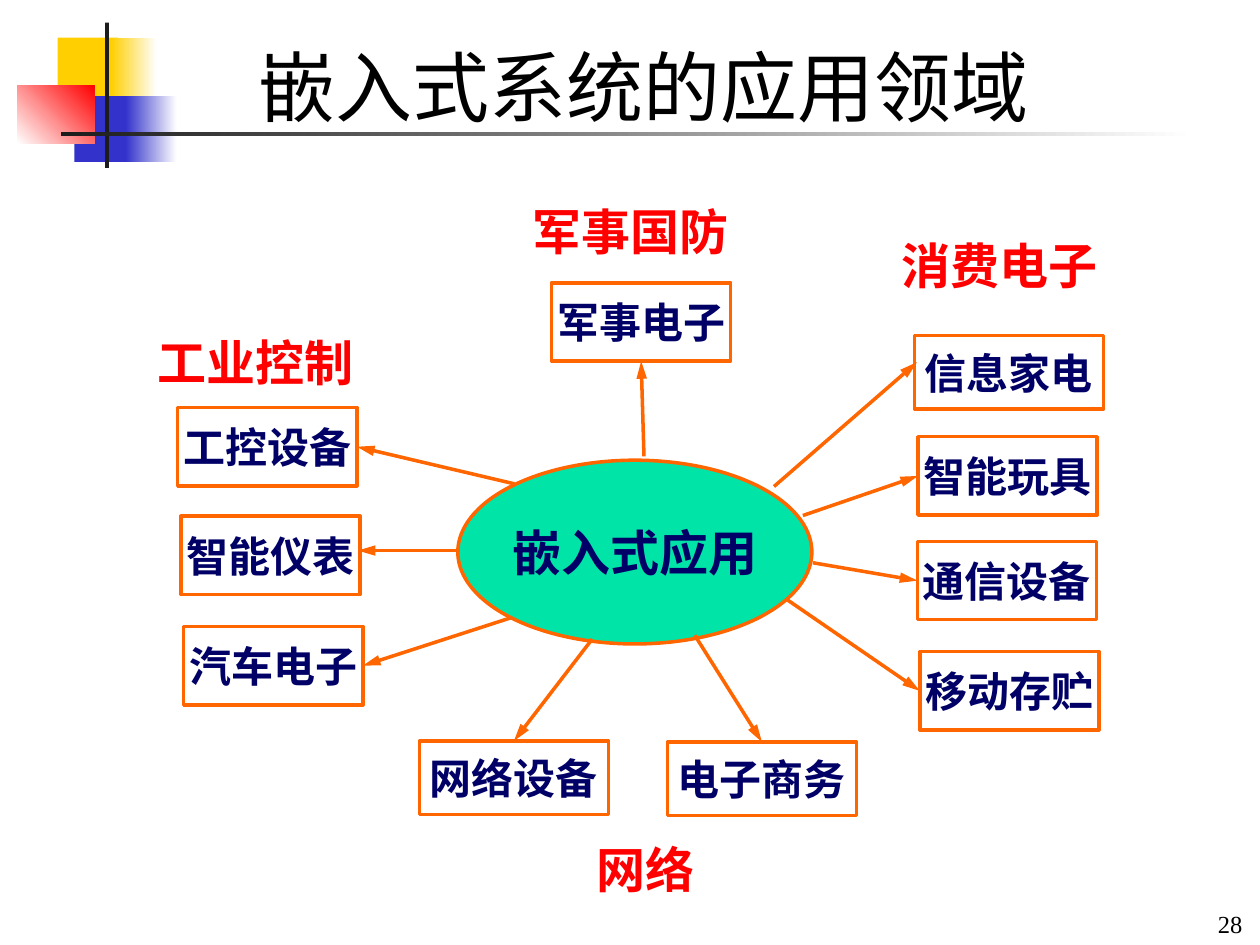
from lxml import etree
from pptx import Presentation
from pptx.dml.color import RGBColor
from pptx.enum import shapes as kind, text as mode
from pptx.oxml.ns import qn
from pptx.util import Pt

BLACK = RGBColor(0x01, 0x00, 0x00)
DARK = RGBColor(0x1C, 0x1C, 0x1C)
WHITE = RGBColor(0xFF, 0xFF, 0xFF)
GOLD = RGBColor(0xFF, 0xCF, 0x01)
BLUE = RGBColor(0x33, 0x33, 0xCC)
RED = RGBColor(0xFF, 0x00, 0x00)
NAVY = RGBColor(0x00, 0x00, 0x66)
GREEN = RGBColor(0x00, 0xE4, 0xA8)
ORANGE = RGBColor(0xFF, 0x66, 0x00)
SANS = "Noto Sans CJK SC"
SERIF = "Times New Roman"
MID = mode.MSO_ANCHOR.MIDDLE
CENTER = mode.PP_ALIGN.CENTER


def write(shape, words, size, color, bold=True, align=CENTER, face=SERIF, wrap=False):
    frame = shape.text_frame
    frame.word_wrap = wrap
    frame.vertical_anchor = MID
    para = frame.paragraphs[0]
    para.alignment = align
    run = para.add_run()
    run.text = words
    run.font.size = Pt(size)
    run.font.bold = bold
    run.font.name = face
    run.font.color.rgb = color
    east = etree.SubElement(run.font._element, qn("a:ea"))
    east.set("typeface", SANS)


def draw(form, x, y, w, h, fill=None, line=None):
    shape = slide.shapes.add_shape(form, Pt(x), Pt(y), Pt(w), Pt(h))
    shape.shadow.inherit = False
    if fill is None:
        shape.fill.background()
    else:
        shape.fill.solid()
        shape.fill.fore_color.rgb = fill
    if line is None:
        shape.line.fill.background()
    else:
        shape.line.color.rgb = line
        shape.line.width = Pt(2)
    return shape


deck = Presentation()
deck.slide_width, deck.slide_height = Pt(720), Pt(540)
slide = deck.slides.add_slide(deck.slide_layouts[5])
RECT = kind.MSO_SHAPE.RECTANGLE
OVAL = kind.MSO_SHAPE.OVAL

for x, y, w, h, first, last, angle in [
    (33, 21.5, 34.5, 37.5, GOLD, None, 0),
    (63.5, 21.5, 26, 37.5, GOLD, WHITE, 0),
    (42.5, 55, 33, 37.5, BLUE, None, 0),
    (72, 55, 29, 37.5, BLUE, WHITE, 0),
    (10, 48.7, 44, 33.3, WHITE, RED, 45),
    (60, 13, 2.3, 83, DARK, None, 0),
    (34.8, 75.5, 648, 2.3, DARK, WHITE, 0),
]:
    block = draw(RECT, x, y, w, h, first)
    if last is not None:
        block.fill.gradient()
        block.fill.gradient_angle = angle
        for stop, tint in zip(block.fill.gradient_stops, (first, last)):
            stop.color.rgb = tint

title = slide.shapes.title
title.left, title.top, title.width, title.height = Pt(33), Pt(18), Pt(670), Pt(62)
write(title, "嵌入式系统的应用领域", 44, RGBColor(0, 0, 0), False, face=SANS, wrap=True)

hub = draw(OVAL, 261.6, 263, 202.3, 105, GREEN, ORANGE)
write(hub, "嵌入式应用", 28, NAVY)

SMALL, WIDE = (102.4, 44.8), (108, 42)
boxes = {}
for words, x, y, (w, h) in [
    ("军事电子", 315.2, 161.6, SMALL),
    ("信息家电", 522.6, 191.7, WIDE),
    ("智能玩具", 524.6, 249.6, SMALL),
    ("通信设备", 524.2, 309.4, SMALL),
    ("移动存贮", 525.6, 372.4, SMALL),
    ("工控设备", 101.6, 232.9, SMALL),
    ("智能仪表", 103.4, 295, SMALL),
    ("汽车电子", 105, 358, SMALL),
    ("网络设备", 239.7, 423.4, WIDE),
    ("电子商务", 381.4, 424, WIDE),
]:
    boxes[words] = draw(RECT, x, y, w, h, line=ORANGE)
    write(boxes[words], words, 24, NAVY)

TOP, LEFT, BOTTOM, RIGHT = range(4)
for x, y, x2, y2, words, side in [
    (368, 260.8, 366.5, 206.5, "军事电子", BOTTOM),
    (442.3, 278, 524, 207, None, None),
    (458.8, 294.6, 524.6, 272, "智能玩具", LEFT),
    (464.6, 321.6, 524.2, 332, "通信设备", LEFT),
    (449.4, 342.4, 525.6, 395, "移动存贮", LEFT),
    (294, 276.5, 204, 255, "工控设备", RIGHT),
    (262.8, 314.6, 204.5, 314.6, None, None),
    (292, 353, 207.4, 380.4, "汽车电子", RIGHT),
    (338.4, 365.2, 293.7, 423.4, "网络设备", TOP),
    (397, 363, 435.4, 424, "电子商务", TOP),
]:
    arrow = slide.shapes.add_connector(
        kind.MSO_CONNECTOR.STRAIGHT, Pt(x), Pt(y), Pt(x2), Pt(y2))
    if words:
        arrow.end_connect(boxes[words], side)
    arrow.line.color.rgb = ORANGE
    arrow.line.width = Pt(2)
    tip = etree.SubElement(arrow.line._get_or_add_ln(), qn("a:tailEnd"))
    tip.set("type", "triangle")
    tip.set("w", "med")
    tip.set("len", "lg")
    etree.SubElement(arrow._element.spPr, qn("a:effectLst"))

for words, x, y, w in [
    ("消费电子", 508.3, 131, 135.4),
    ("军事国防", 297.4, 111.6, 135.4),
    ("网络", 334, 476, 82.8),
    ("工业控制", 82.8, 186.5, 157),
]:
    label = slide.shapes.add_textbox(Pt(x), Pt(y), Pt(w), Pt(41))
    write(label, words, 28, RED, align=mode.PP_ALIGN.LEFT, wrap=True)

page = slide.shapes.add_textbox(Pt(662.4), Pt(515.5), Pt(54.7), Pt(24.5))
write(page, "28", 14, BLACK, False, mode.PP_ALIGN.RIGHT, wrap=True)

deck.save("out.pptx")
